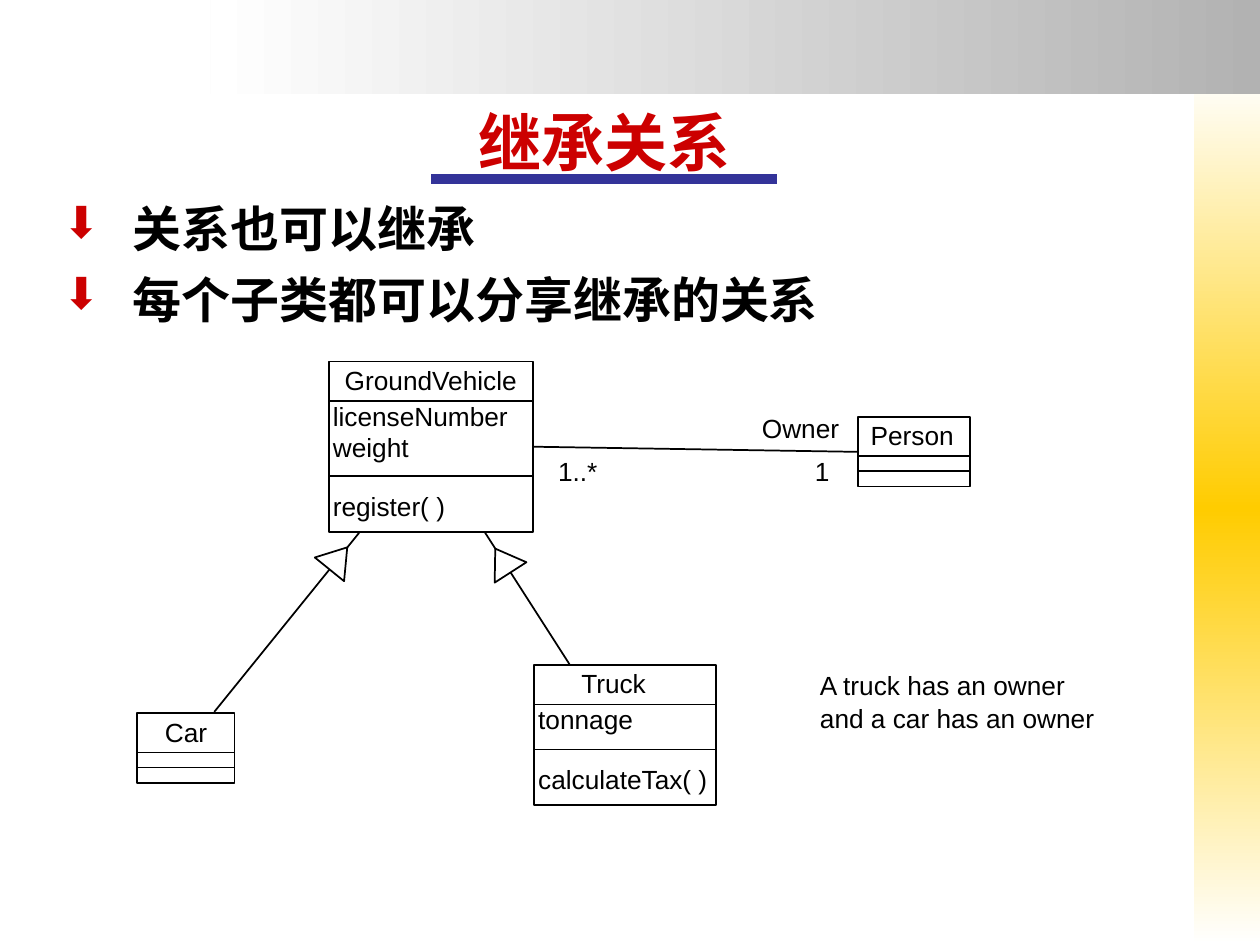
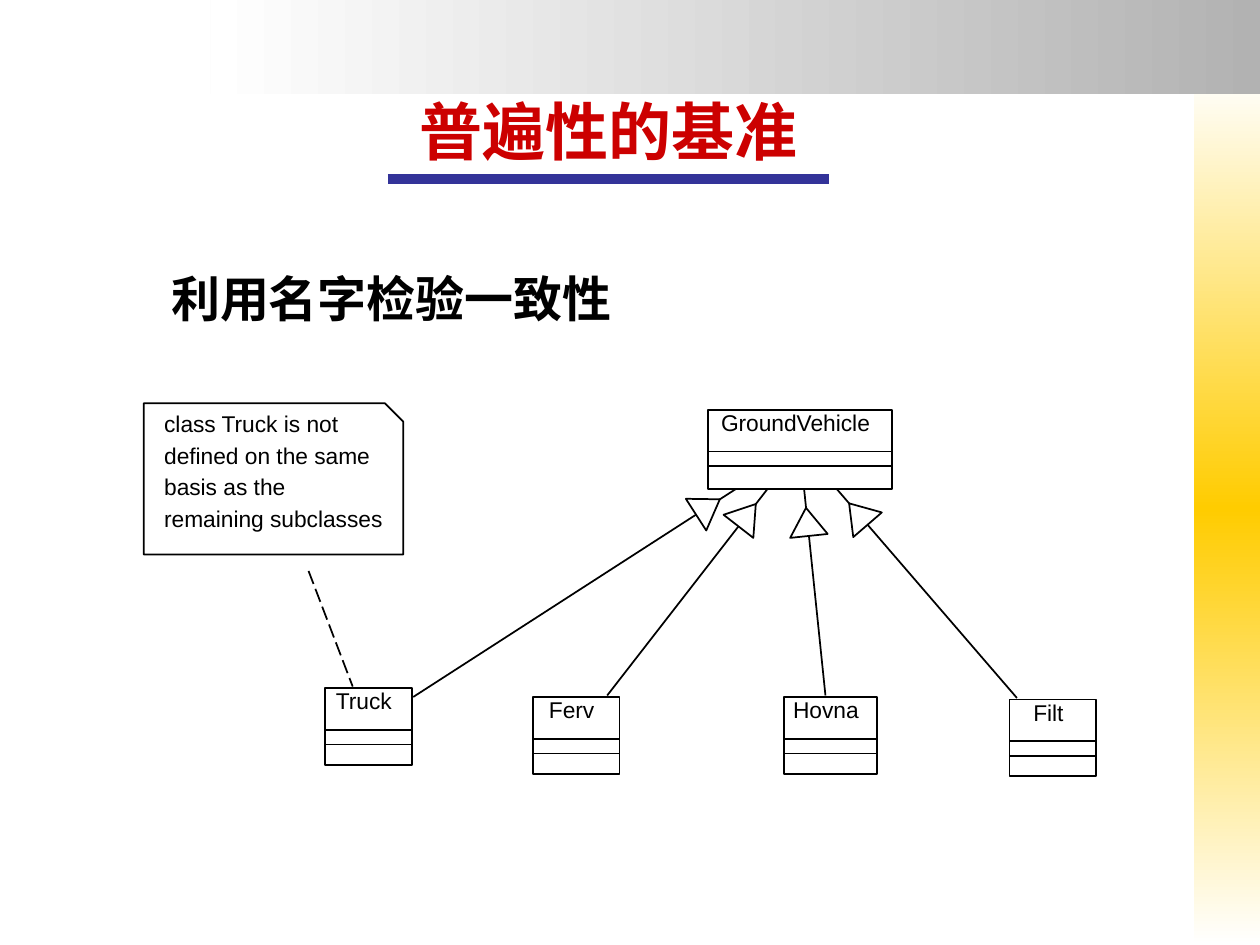
"""Build two slides on inheritance of relations and on the basis for generalization."""
from dataclasses import dataclass
from math import hypot

from lxml.etree import SubElement
from pptx import Presentation
from pptx.dml.color import RGBColor
from pptx.enum.dml import MSO_LINE
from pptx.enum.shapes import MSO_CONNECTOR, MSO_SHAPE
from pptx.enum.text import MSO_ANCHOR, PP_ALIGN
from pptx.oxml.ns import qn
from pptx.util import Cm, Pt


@dataclass(frozen=True)
class Theme:
    red: str = "CC0000"
    ink: str = "000000"
    paper: str = "FFFFFF"
    blue: str = "333399"
    gold: str = "FFCC00"
    grey: str = "B2B2B2"
    heading_font: str = "Times New Roman"
    diagram_font: str = "Arial"
    title_size: int = 36
    body_size: int = 28
    hairline: float = 1
    rule: float = 5.5


THEME = Theme()

BANDS = [
    {"at": (24.08, 1.47, 1.32, 17.58), "angle": 90,
     "stops": [(0, THEME.paper), (50, THEME.gold), (100, THEME.paper)]},
    {"at": (4.24, 0, 21.16, 1.9), "angle": 180,
     "stops": [(0, THEME.grey), (100, THEME.paper)]},
]

INHERITED_RELATIONS = {
    "title": "继承关系",
    "title_at": (1.07, 1.27, 22.23, 2.34),
    "title_rule": (8.69, 15.67),
    "diagram_size": 15,
    "name_lift": 0.08,
    "classes": {
        "GroundVehicle": {"at": (6.63, 7.29, 4.11, 3.43), "dividers": (0.79, 2.31),
                          "attributes": ["licenseNumber", "weight"],
                          "operations": ["register( )"]},
        "Car": {"at": (2.77, 14.38, 1.96, 1.4), "dividers": (0.79, 1.09)},
        "Truck": {"at": (10.77, 13.41, 3.66, 2.82), "dividers": (0.79, 1.7),
                  "name_shift": -0.23,
                  "attributes": ["tonnage"], "operations": ["calculateTax( )"]},
        "Person": {"at": (17.3, 8.41, 2.26, 1.4), "dividers": (0.79, 1.09),
                   "name_shift": -0.04},
    },
    "generalizations": [((4.32, 14.35), (7.24, 10.74)),
                        ((11.48, 13.39), (9.78, 10.74))],
}
BULLETS = ["关系也可以继承", "每个子类都可以分享继承的关系"]
ASSOCIATION_LABELS = [
    (["Owner"], (15.11, 8.18, 2.2, 0.89)),
    (["1..*"], (11, 9.04, 1.6, 0.89)),
    (["1"], (16.18, 9.04, 1, 0.89)),
    (["A truck has an owner", "and a car has an owner"], (16.28, 13.36, 6.6, 1.52)),
]

SUBCLASS_DIVIDERS = (0.84, 1.14)
SUBCLASS_SHIFT = -0.09
GENERALIZATION_BASIS = {
    "title": "普遍性的基准",
    "title_at": (1.47, 1.47, 21.59, 1.91),
    "title_rule": (7.82, 16.71),
    "diagram_size": 13,
    "name_lift": 0.15,
    "classes": {
        name: {"at": at, "dividers": SUBCLASS_DIVIDERS, "name_shift": SUBCLASS_SHIFT}
        for name, at in {
            "GroundVehicle": (14.27, 8.26, 3.71, 1.6),
            "Truck": (6.55, 13.87, 1.75, 1.55),
            "Ferv": (10.74, 14.05, 1.75, 1.55),
            "Hovna": (15.8, 14.05, 1.88, 1.55),
            "Filt": (20.35, 14.1, 1.75, 1.55),
        }.items()
    },
    "generalizations": [((8.33, 14.05), (14.83, 9.86)),
                        ((12.24, 14.02), (15.47, 9.86)),
                        ((16.64, 14.02), (16.21, 9.86)),
                        ((20.5, 14.07), (16.87, 9.86))],
}
SUBHEADING = "利用名字检验一致性"
TRUCK_NOTE = ["class Truck is not", "defined on the same", "basis as the",
              "remaining subclasses"]
NOTE_AT = (2.9, 8.13, 5.23, 3.05)
NOTE_FOLD = 0.37
NOTE_LINK = ((6.22, 11.51), (7.11, 13.84))

TITLE_RULE_Y = 3.61
ARROW_GAP, ARROW_LENGTH, ARROW_HALF_WIDTH = 0.38, 0.57, 0.38


def cm(lengths):
    return [Cm(length) for length in lengths]


def color(value):
    return RGBColor.from_string(value)


def add_arrow_bullet(paragraph):
    props = paragraph._p.get_or_add_pPr()
    props.set("marL", str(Cm(1.41)))
    props.set("indent", str(-Cm(1.41)))
    SubElement(SubElement(props, qn("a:buClr")), qn("a:srgbClr"), val=THEME.red)
    SubElement(props, qn("a:buSzPct"), val="90000")
    SubElement(props, qn("a:buChar"), char="⬇")


def write(shape, lines, *, size, font=THEME.diagram_font, ink=THEME.ink, bold=False,
          align=PP_ALIGN.LEFT, anchor=MSO_ANCHOR.TOP, inset=(0.25, 0.13, 0, 0),
          gap=0, bulleted=False):
    frame = shape.text_frame
    frame.word_wrap = True
    frame.vertical_anchor = anchor
    (frame.margin_left, frame.margin_top,
     frame.margin_right, frame.margin_bottom) = cm(inset)
    for index, line in enumerate(lines):
        paragraph = frame.add_paragraph() if index else frame.paragraphs[0]
        paragraph.text = line
        paragraph.alignment = align
        if index and gap:
            paragraph.space_before = Pt(gap)
        if bulleted:
            add_arrow_bullet(paragraph)
        paragraph.font.size = Pt(size)
        paragraph.font.name = font
        paragraph.font.bold = bold
        paragraph.font.color.rgb = color(ink)


def add_text(slide, lines, at, **style):
    write(slide.shapes.add_textbox(*cm(at)), lines, **style)


def outline(shape, fill=None):
    shape.shadow.inherit = False
    if fill:
        shape.fill.solid()
        shape.fill.fore_color.rgb = color(fill)
    else:
        shape.fill.background()
    shape.line.color.rgb = color(THEME.ink)
    shape.line.width = Pt(THEME.hairline)
    return shape


def add_polygon(slide, corners, fill=None):
    builder = slide.shapes.build_freeform(*cm(corners[0]), scale=1.0)
    builder.add_line_segments([cm(corner) for corner in corners[1:]], close=True)
    return outline(builder.convert_to_shape(), fill)


def add_line(slide, start, end, ink=THEME.ink, width=THEME.hairline):
    line = slide.shapes.add_connector(MSO_CONNECTOR.STRAIGHT, *cm(start), *cm(end))
    line.line.color.rgb = color(ink)
    line.line.width = Pt(width)
    SubElement(line._element.spPr, qn("a:effectLst"))
    return line


def add_band(slide, at, angle, stops):
    band = slide.shapes.add_shape(MSO_SHAPE.RECTANGLE, *cm(at))
    gradient = SubElement(band._element.spPr, qn("a:gradFill"), rotWithShape="1")
    stop_list = SubElement(gradient, qn("a:gsLst"))
    for position, value in stops:
        stop = SubElement(stop_list, qn("a:gs"), pos=str(position * 1000))
        SubElement(stop, qn("a:srgbClr"), val=value)
    SubElement(gradient, qn("a:lin"), ang=str(angle * 60000), scaled="0")
    band.line.fill.background()
    band.shadow.inherit = False


def add_class(slide, name, size, lift, at, dividers, name_shift=0,
              attributes=(), operations=()):
    left, top, width, height = at
    box = outline(slide.shapes.add_shape(MSO_SHAPE.RECTANGLE, *cm(at)))
    add_text(slide, [name], (left + name_shift, top - lift, width, 0.89), size=size,
             align=PP_ALIGN.CENTER, inset=(0, 0.13, 0, 0))
    for offset in dividers:
        add_line(slide, (left, top + offset), (left + width, top + offset))
    for members, offset in ((attributes, dividers[0] - 0.15),
                            (operations, dividers[1] + 0.15)):
        if members:
            add_text(slide, members, (left, top + offset, width, 0.89), size=size,
                     inset=(0.08, 0.13, 0, 0))
    return box


def add_generalization(slide, child, parent):
    add_line(slide, child, parent)
    dx, dy = child[0] - parent[0], child[1] - parent[1]
    length = hypot(dx, dy)
    dx, dy = dx / length, dy / length

    def point(along, across):
        return (parent[0] + along * dx - across * dy,
                parent[1] + along * dy + across * dx)

    base = ARROW_GAP + ARROW_LENGTH
    add_polygon(slide, [point(ARROW_GAP, 0), point(base, ARROW_HALF_WIDTH),
                        point(base, -ARROW_HALF_WIDTH)], THEME.paper)


def add_diagram_slide(deck, content):
    slide = deck.slides.add_slide(deck.slide_layouts[6])
    for band in BANDS:
        add_band(slide, **band)
    add_text(slide, [content["title"]], content["title_at"], size=THEME.title_size,
             font=THEME.heading_font, ink=THEME.red, bold=True,
             align=PP_ALIGN.CENTER, anchor=MSO_ANCHOR.BOTTOM, inset=(0, 0, 0, 0))
    rule_start, rule_end = content["title_rule"]
    add_line(slide, (rule_start, TITLE_RULE_Y), (rule_end, TITLE_RULE_Y),
             THEME.blue, THEME.rule)
    boxes = {name: add_class(slide, name, content["diagram_size"],
                             content["name_lift"], **details)
             for name, details in content["classes"].items()}
    for child, parent in content["generalizations"]:
        add_generalization(slide, child, parent)
    return slide, boxes


def add_inherited_relations(deck):
    slide, boxes = add_diagram_slide(deck, INHERITED_RELATIONS)
    add_text(slide, BULLETS, (1.27, 4.01, 22.23, 2.62), size=THEME.body_size,
             font=THEME.heading_font, bold=True, inset=(0, 0, 0, 0), gap=7,
             bulleted=True)
    ownership = add_line(slide, (10.74, 9), (17.3, 9.11))
    ownership.begin_connect(boxes["GroundVehicle"], 3)
    ownership.end_connect(boxes["Person"], 1)
    for lines, at in ASSOCIATION_LABELS:
        add_text(slide, lines, at, size=INHERITED_RELATIONS["diagram_size"], gap=0.75)


def add_generalization_basis(deck):
    slide, _ = add_diagram_slide(deck, GENERALIZATION_BASIS)
    add_text(slide, [SUBHEADING], (3.2, 5.28, 10, 1.45), size=THEME.body_size,
             font=THEME.heading_font, bold=True)
    left, top, width, height = NOTE_AT
    right, bottom = left + width, top + height
    note = add_polygon(slide, [(left, top), (right - NOTE_FOLD, top),
                               (right, top + NOTE_FOLD), (right, bottom),
                               (left, bottom)])
    write(note, TRUCK_NOTE, size=GENERALIZATION_BASIS["diagram_size"],
          inset=(0.41, 0.13, 0, 0), gap=2.4)
    add_line(slide, *NOTE_LINK).line.dash_style = MSO_LINE.LONG_DASH


def main():
    deck = Presentation()
    deck.slide_width, deck.slide_height = Cm(25.4), Cm(19.05)
    add_inherited_relations(deck)
    add_generalization_basis(deck)
    deck.save("out.pptx")


if __name__ == "__main__":
    main()
